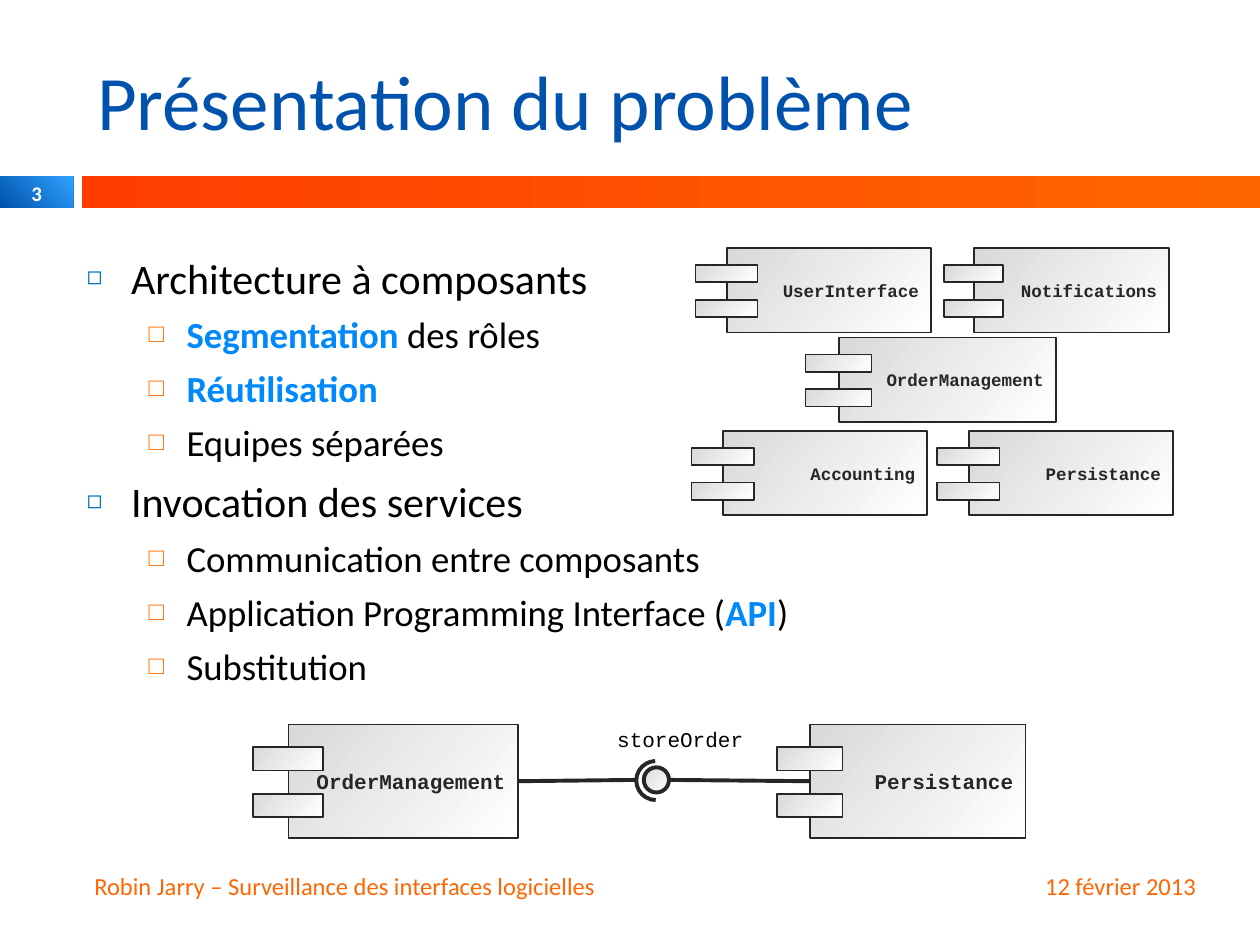
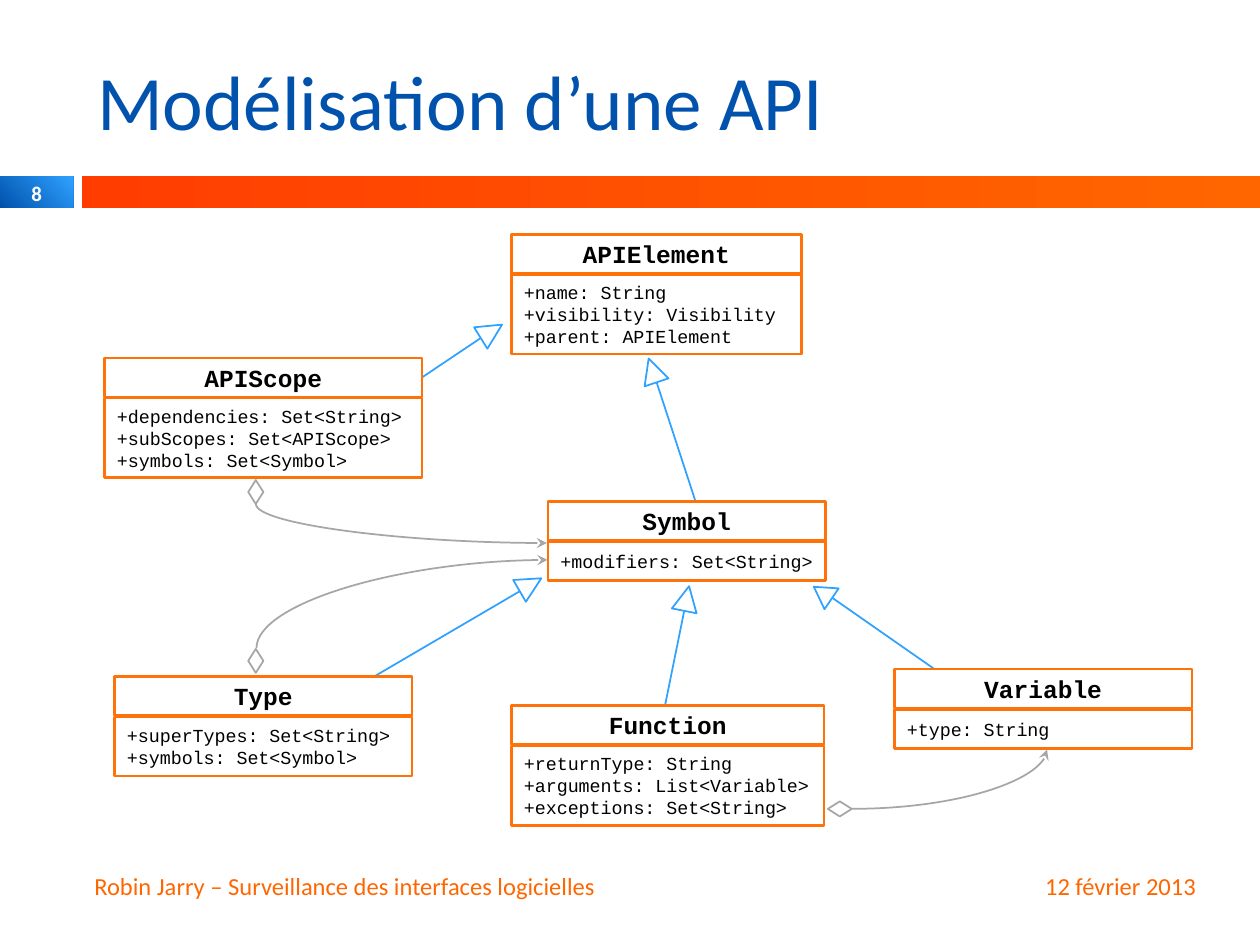
from lxml.etree import SubElement
from pptx import Presentation
from pptx.dml.color import RGBColor
from pptx.enum.shapes import MSO_CONNECTOR as Link, MSO_SHAPE as Shape
from pptx.enum.text import MSO_ANCHOR as Anchor, MSO_AUTO_SIZE as AutoSize, PP_ALIGN as Align
from pptx.oxml.ns import qn
from pptx.util import Inches, Pt

COLORS = {
    "navy": "0052AC", "sky": "2FA1FF", "red": "FF3D01", "orange": "FF6600",
    "border": "FF7209", "bullet": "0070C0", "accent": "0089FA", "ink": "262626",
    "silver": "D9D9D9", "gray": "A6A6A6", "white": "FFFFFF", "black": "000000",
}
RGB = {name: RGBColor.from_string(value) for name, value in COLORS.items()}
SANS, MONO = "Calibri", "Courier New"
METAL = ("silver", "white", 320)


def add_box(page, kind, place, fill=None, line=None, weight=1, text="", size=14,
            font=MONO, color="black", bold=False, align=Align.LEFT):
    place = [Inches(value) for value in place]
    if kind is None:
        box = page.shapes.add_textbox(*place)
    else:
        box = page.shapes.add_shape(kind, *place)
        box.shadow.inherit = False
    if fill is None:
        box.fill.background()
    elif isinstance(fill, tuple):
        box.fill.gradient()
        box.fill.gradient_angle = fill[2]
        for stop, name in zip(box.fill.gradient_stops, fill):
            stop.color.rgb = RGB[name]
    else:
        box.fill.solid()
        box.fill.fore_color.rgb = RGB[fill]
    if line is None:
        box.line.fill.background()
    else:
        box.line.color.rgb = RGB[line]
        box.line.width = Pt(weight)
    if text:
        frame = box.text_frame
        frame.word_wrap = True
        frame.vertical_anchor = Anchor.MIDDLE
        frame.text = text
        for para in frame.paragraphs:
            para.alignment = align
            para.font.name, para.font.size, para.font.bold = font, Pt(size), bold
            para.font.color.rgb = RGB[color]
    return box


def add_line(page, start, end, color, weight=1, kind=Link.STRAIGHT):
    line = page.shapes.add_connector(kind, *[Inches(value) for value in (*start, *end)])
    line.line.color.rgb = RGB[color]
    line.line.width = Pt(weight)
    SubElement(line._element.spPr, qn("a:effectLst"))
    return line


deck = Presentation()
deck.slide_width, deck.slide_height = Inches(10), Inches(7.5)

pages = []
for layout, number, heading in [
    (1, "3", "Présentation du problème"),
    (5, "8", "Modélisation d’une API"),
]:
    page = deck.slides.add_slide(deck.slide_layouts[layout])
    pages.append(page)
    title = page.shapes.title
    title.left, title.top, title.width, title.height = map(Inches, (0.67, 0.25, 8.92, 1.08))
    title.text_frame.text = heading
    title.text_frame.vertical_anchor = Anchor.MIDDLE
    para = title.text_frame.paragraphs[0]
    para.alignment = Align.LEFT
    para.font.name, para.font.size = SANS, Pt(44)
    para.font.color.rgb = RGB["navy"]
    add_box(page, Shape.RECTANGLE, (0, 1.4, 0.58, 0.25), ("navy", "sky", 45))
    add_box(page, Shape.RECTANGLE, (0.65, 1.4, 9.35, 0.25), ("red", "orange", 0))
    add_box(page, None, (0, 1.4, 0.58, 0.27), text=number, size=11.9, font=SANS,
            color="white", bold=True, align=Align.CENTER)
    add_box(page, None, (0.65, 6.83, 5.93, 0.4), font=SANS, color="orange",
            text="Robin Jarry – Surveillance des interfaces logicielles")
    add_box(page, None, (6.67, 6.83, 2.92, 0.4), font=SANS, color="orange",
            text="12 février 2013", align=Align.RIGHT)
problem, model = pages

body = problem.placeholders[1]
body.left, body.top, body.width, body.height = map(Inches, (0.59, 1.95, 6.18, 3.82))
body.text_frame.auto_size = AutoSize.NONE
levels = [
    (24, 7, 0.35, 0.35, "◻", "bullet", 60),
    (21, 5.5, 0.79, 0.3, "□", "border", 70),
]
points = [
    (0, ["Architecture à composants"]),
    (1, ["", "Segmentation", " des rôles"]),
    (1, ["", "Réutilisation"]),
    (1, ["Equipes séparées"]),
    (0, ["Invocation des services"]),
    (1, ["Communication entre composants"]),
    (1, ["Application Programming Interface (", "API", ")"]),
    (1, ["Substitution"]),
]
for index, (level, parts) in enumerate(points):
    size, gap, margin, hanging, mark, mark_color, scale = levels[level]
    para = body.text_frame.paragraphs[0] if index == 0 else body.text_frame.add_paragraph()
    para.level = level
    para.space_before = Pt(gap)
    para.font.name, para.font.size = SANS, Pt(size)
    for position, part in enumerate(parts):
        if part:
            span = para.add_run()
            span.text = part
            span.font.bold = position == 1
            span.font.color.rgb = RGB["accent" if position == 1 else "black"]
    props = para._p.get_or_add_pPr()
    props.set("marL", str(Inches(margin)))
    props.set("indent", str(-Inches(hanging)))
    SubElement(SubElement(props, qn("a:buClr")), qn("a:srgbClr"), val=COLORS[mark_color])
    SubElement(props, qn("a:buSzPct"), val=str(scale * 1000))
    SubElement(props, qn("a:buChar"), char=mark)

components = []
for name, left, top, width, height, size in [
    ("UserInterface", 5.77, 1.97, 1.62, 0.67, 10),
    ("Notifications", 7.73, 1.97, 1.55, 0.67, 10),
    ("OrderManagement", 6.66, 2.68, 1.72, 0.67, 10),
    ("Persistance", 7.69, 3.42, 1.62, 0.67, 10),
    ("Accounting", 5.74, 3.42, 1.62, 0.67, 10),
    ("OrderManagement", 2.29, 5.75, 1.82, 0.9, 12),
    ("Persistance", 6.43, 5.75, 1.71, 0.9, 12),
]:
    components.append(add_box(problem, Shape.RECTANGLE, (left, top, width, height), METAL, "ink",
                              text=name, size=size, color="ink", bold=True, align=Align.RIGHT))
    for drop in (0.2, 0.61):
        tab = (left - 0.155 * width, top + drop * height, 0.305 * width, 0.205 * height)
        add_box(problem, Shape.RECTANGLE, tab, METAL, "ink")
caller, provider = components[-2:]

required = add_line(problem, (4.11, 6.2), (5.05, 6.19), "ink", 2.25)
required.begin_connect(caller, 3)
socket = add_box(problem, Shape.ARC, (5.05, 6.04, 0.31, 0.31), None, "ink", 2.25)
socket.adjustments[0], socket.adjustments[1] = 54.16, 160.87
add_box(problem, Shape.OVAL, (5.11, 6.09, 0.2, 0.2), METAL, "ink", 2.25)
provided = add_line(problem, (5.31, 6.19), (6.43, 6.2), "ink", 2.25)
provided.end_connect(provider, 1)
service = add_box(problem, None, (4.8, 5.72, 1.22, 0.3), text="storeOrder", size=12)
service.text_frame.word_wrap = False

for left, top, width, height, turn, flips, diamond in [
    (2.84, 3.64, 0.7, 2.31, 90, ("flipH", "flipV"), (1.97, 5.15, 0.12, 0.19)),
    (3.03, 3, 0.31, 2.31, 270, ("flipH",), (1.97, 3.81, 0.12, 0.19)),
    (6.76, 5.95, 1.55, 0.47, 0, ("flipV",), (6.57, 6.36, 0.19, 0.12)),
]:
    curve = add_line(model, (left, top), (left + width, top + height), "gray", kind=Link.CURVE)
    properties = curve._element.spPr
    properties.find(qn("a:prstGeom")).set("prst", "curvedConnector2")
    frame = properties.find(qn("a:xfrm"))
    frame.set("rot", str(turn * 60000))
    for flip in flips:
        frame.set(flip, "1")
    SubElement(curve.line._get_or_add_ln(), qn("a:tailEnd"), type="stealth")
    add_box(model, Shape.DIAMOND, diamond, "white", "gray")

for start, end, corner, height, turn in [
    ((5.27, 5.64), (5.43, 4.85), (5.35, 4.65), 0.2, 11.2),
    ((2.9, 5.41), (4.13, 4.69), (4.11, 4.54), 0.2, 59.9),
    ((7.43, 5.32), (6.57, 4.72), (6.43, 4.62), 0.17, 304.2),
    ((5.53, 4.01), (5.21, 3.03), (5.08, 2.84), 0.2, 341.6),
    ((3.35, 3), (3.82, 2.68), (3.8, 2.53), 0.2, 58),
]:
    inheritance = add_line(model, start, end, "sky")
    head = add_box(model, Shape.ISOSCELES_TRIANGLE, (*corner, 0.2, height), "white", "sky")
    head.rotation = turn
scope_link = inheritance

for name, left, top, width, height, fields in [
    ("APIElement", 4.06, 1.86, 2.3, 0.63,
     ["+name: String", "+visibility: Visibility", "+parent: APIElement"]),
    ("APIScope", 0.83, 2.84, 2.52, 0.63,
     ["+dependencies: Set<String>", "+subScopes: Set<APIScope>", "+symbols: Set<Symbol>"]),
    ("Symbol", 4.35, 3.98, 2.2, 0.31, ["+modifiers: Set<String>"]),
    ("Function", 4.06, 5.6, 2.48, 0.63,
     ["+returnType: String", "+arguments: List<Variable>", "+exceptions: Set<String>"]),
    ("Type", 0.91, 5.37, 2.36, 0.47, ["+superTypes: Set<String>", "+symbols: Set<Symbol>"]),
    ("Variable", 7.1, 5.31, 2.36, 0.31, ["+type: String"]),
]:
    header = add_box(model, Shape.RECTANGLE, (left, top, width, 0.31), "white", "border", 1.5,
                     text=name, bold=True, align=Align.CENTER)
    members = add_box(model, Shape.RECTANGLE, (left, top + 0.32, width, height), "white",
                      "border", 1.5, text="\n".join(fields), size=10.5)
    members.text_frame.margin_right = 0
    if name == "APIScope":
        scope_link.begin_connect(header, 3)

deck.save("out.pptx")
